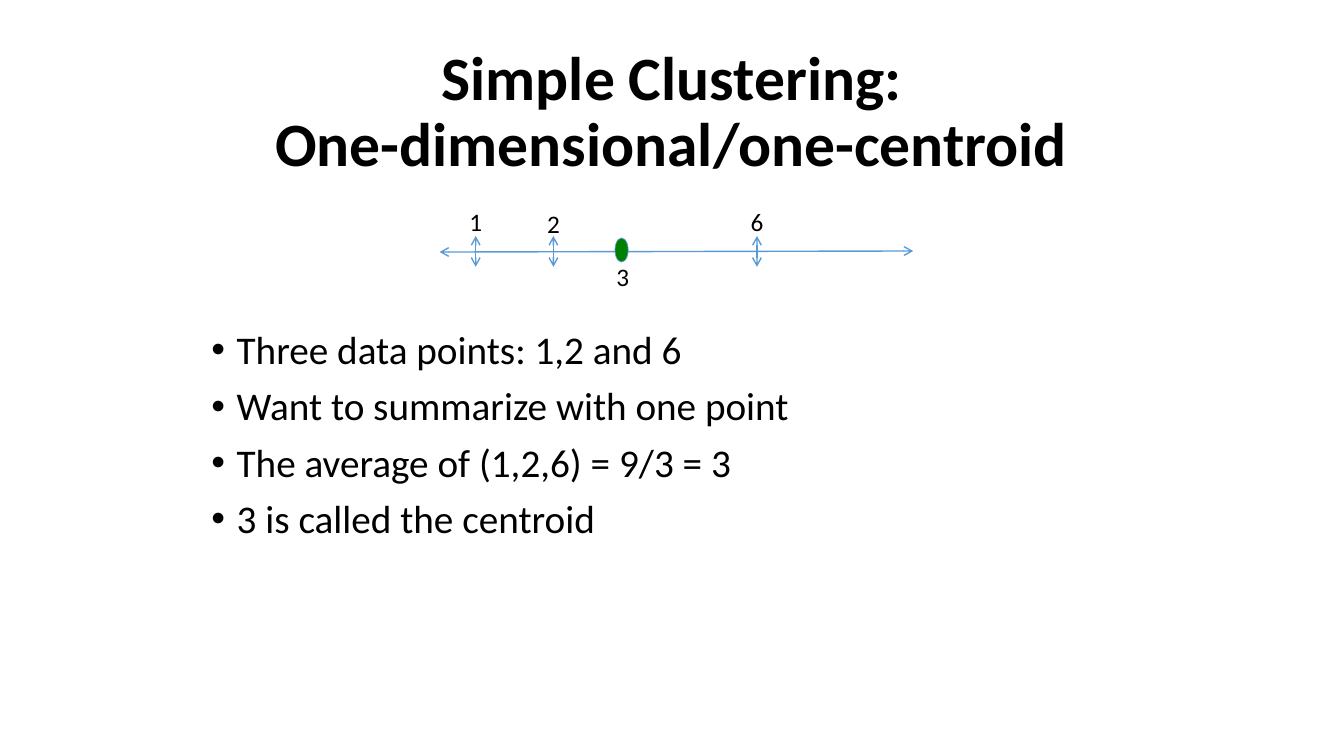
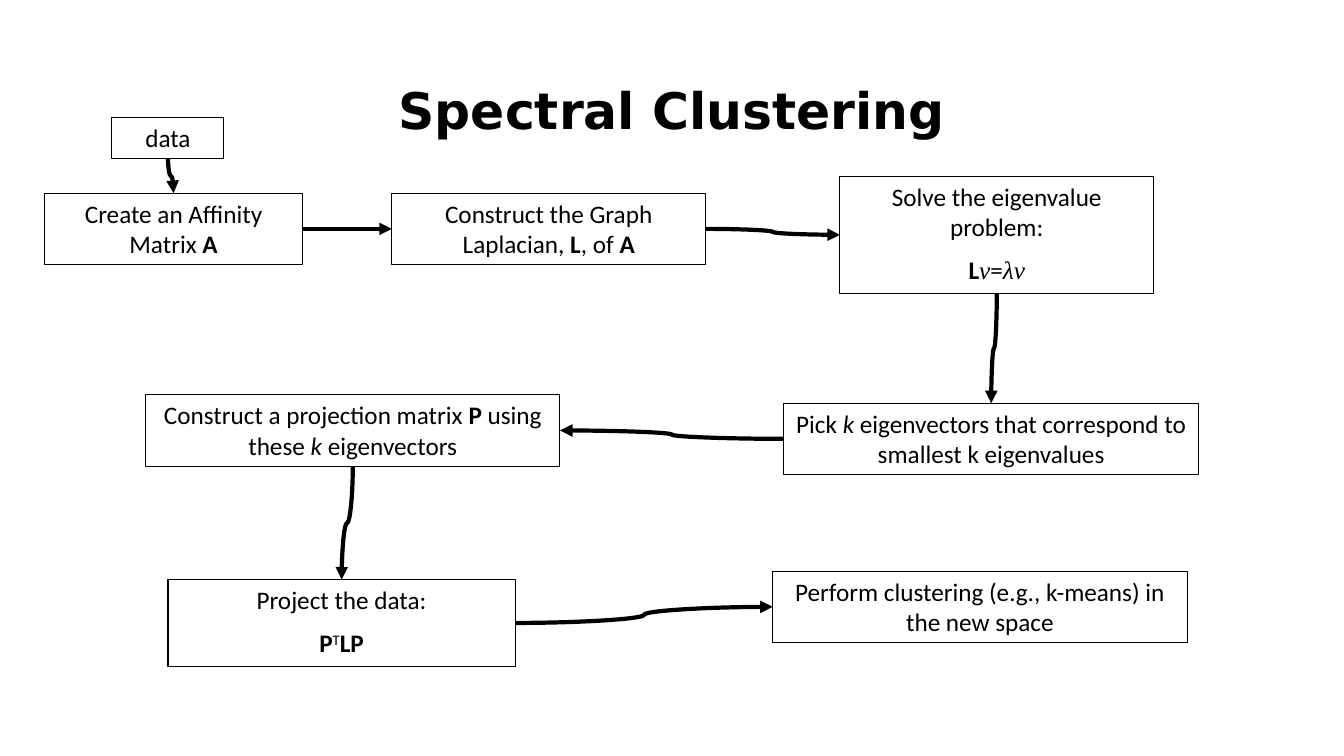
from dataclasses import dataclass

from pptx import Presentation
from pptx.dml.color import RGBColor
from pptx.enum.shapes import MSO_CONNECTOR, MSO_SHAPE
from pptx.enum.text import MSO_ANCHOR, PP_ALIGN
from pptx.oxml.ns import qn
from pptx.util import Pt
from lxml import etree

STRAIGHT, CURVE = MSO_CONNECTOR.STRAIGHT, MSO_CONNECTOR.CURVE
RECTANGLE, OVAL = MSO_SHAPE.RECTANGLE, MSO_SHAPE.OVAL
LEFT, CENTER = PP_ALIGN.LEFT, PP_ALIGN.CENTER
MIDDLE = MSO_ANCHOR.MIDDLE
TOP_SITE, LEFT_SITE, BOTTOM_SITE, RIGHT_SITE = range(4)


@dataclass(frozen=True)
class Theme:
    black: RGBColor = RGBColor(0x00, 0x00, 0x00)
    blue: RGBColor = RGBColor(0x5B, 0x9B, 0xD5)
    green: RGBColor = RGBColor(0x00, 0x80, 0x00)
    font: str = "Calibri"
    heading_font: str = "DejaVu Sans"
    math_font: str = "Times New Roman"
    title_size: int = 44
    heading_size: int = 36
    body_size: int = 28
    label_size: int = 18


THEME = Theme()

# Content: number line
LINE_TITLE = "Simple Clustering:\vOne-dimensional/one-centroid"
BULLETS = [
    "Three data points: 1,2 and 6",
    "Want to summarize with one point",
    "The average of (1,2,6) = 9/3 = 3",
    "3 is called the centroid",
]
AXIS = (314, 180, 652.3, 179.3)
DATA_POINTS = [("1", 339.8, 144), ("2", 395.3, 145.4), ("6", 540.7, 144)]  # label, x, label top
CENTROID = ("3", 444, 183)

# Content: flow chart, each paragraph a list of (text, style) runs
FLOW_TITLE = "Spectral Clustering"
STEPS = {
    "data": ((80, 84, 80, 29.5), [[("data", "")]]),
    "affinity": ((32, 138, 184, 51), [[("Create an Affinity Matrix ", ""), ("A", "bold")]]),
    "laplacian": ((280, 138, 224, 51), [
        [("Construct the Graph Laplacian, ", ""), ("L", "bold"), (", of ", ""), ("A", "bold")]]),
    "eigenvalues": ((600, 126, 224, 83.5), [
        [("Solve the eigenvalue problem:", "")],
        [("L", "bold"), ("v", "math"), ("=", ""), ("λv", "math")]]),
    "pick": ((560, 288, 296, 51), [
        [("Pick ", ""), ("k", "italic"),
         (" eigenvectors that correspond to smallest k eigenvalues", "")]]),
    "projection": ((104, 282, 296, 51), [
        [("Construct a projection matrix ", ""), ("P", "bold"), (" using these ", ""),
         ("k", "italic"), (" eigenvectors", "")]]),
    "project": ((120, 414, 248, 62), [
        [("Project the data:", "")],
        [("P", "bold"), ("T", "superscript"), ("LP", "bold")]]),
    "cluster": ((552, 408, 296, 51), [
        [("Perform clustering (e.g., k-means) in the new space", "")]]),
}
DOWN, RIGHTWARD, LEFTWARD = (
    (BOTTOM_SITE, TOP_SITE), (RIGHT_SITE, LEFT_SITE), (LEFT_SITE, RIGHT_SITE))
FLOW = [
    ("data", "affinity", DOWN),
    ("affinity", "laplacian", RIGHTWARD),
    ("laplacian", "eigenvalues", RIGHTWARD),
    ("eigenvalues", "pick", DOWN),
    ("pick", "projection", LEFTWARD),
    ("projection", "project", DOWN),
    ("project", "cluster", RIGHTWARD),
]


# Shared helpers
def points(values):
    return [Pt(value) for value in values]


def format_run(run, size, font=THEME.font, style=""):
    run.font.name = THEME.math_font if style == "math" else font
    run.font.size = Pt(size)
    run.font.color.rgb = THEME.black
    run.font.bold = style == "bold"
    run.font.italic = style in ("italic", "math")
    if style == "superscript":
        run._r.get_or_add_rPr().set("baseline", "30000")


def add_text(slide, box, text, size, font=THEME.font, style="", align=LEFT):
    text_frame = slide.shapes.add_textbox(*points(box)).text_frame
    text_frame.word_wrap = True
    text_frame.text = text
    for paragraph in text_frame.paragraphs:
        paragraph.alignment = align
        for run in paragraph.runs:
            format_run(run, size, font, style)
    return text_frame


def add_title(slide, text, size, font):
    text_frame = add_text(slide, (66, 28.8, 828, 104.4), text, size, font, "bold", CENTER)
    text_frame.vertical_anchor = MIDDLE
    text_frame.paragraphs[0].line_spacing = 0.9


def style_connector(connector, color, width, head=None, tail=None):
    connector.line.color.rgb = color
    connector.line.width = Pt(width)
    properties = connector._element.spPr
    for tag, kind in (("a:headEnd", head), ("a:tailEnd", tail)):
        if kind:
            etree.SubElement(properties.get_or_add_ln(), qn(tag), type=kind)
    etree.SubElement(properties, qn("a:effectLst"))


# Number line slide
def add_axis_line(slide, ends):
    connector = slide.shapes.add_connector(STRAIGHT, *points(ends))
    style_connector(connector, THEME.blue, 1, "arrow", "arrow")


def add_axis_label(slide, label, x, top):
    text_frame = add_text(slide, (x - 12, top, 24, 29), label, THEME.label_size, align=CENTER)
    text_frame.margin_left = text_frame.margin_right = 0


def build_number_line(slide):
    add_title(slide, LINE_TITLE, THEME.title_size, THEME.font)
    text_frame = add_text(slide, (144, 232.5, 670, 172), "\n".join(BULLETS), THEME.body_size)
    for paragraph in text_frame.paragraphs:
        paragraph.line_spacing = 0.9
        paragraph.space_before = Pt(10)
        properties = paragraph._p.get_or_add_pPr()
        properties.set("marL", str(Pt(18)))
        properties.set("indent", str(-Pt(18)))
        etree.SubElement(properties, qn("a:buFont"), typeface="Arial")
        etree.SubElement(properties, qn("a:buChar"), char="•")

    add_axis_line(slide, AXIS)
    for label, x, top in DATA_POINTS:
        add_axis_line(slide, (x, 168.6, x, 190.6))
        add_axis_label(slide, label, x, top)

    label, x, top = CENTROID
    dot = slide.shapes.add_shape(OVAL, *points((x - 4.7, 170, 9.4, 17.2)))
    dot.shadow.inherit = False
    dot.fill.solid()
    dot.fill.fore_color.rgb = THEME.green
    dot.line.color.rgb = THEME.blue
    dot.line.width = Pt(0.5)
    add_axis_label(slide, label, x + 0.8, top)


# Flow chart slide
def add_step(slide, box, paragraphs):
    shape = slide.shapes.add_shape(RECTANGLE, *points(box))
    shape.shadow.inherit = False
    shape.fill.background()
    shape.line.color.rgb = THEME.black
    shape.line.width = Pt(0.75)
    text_frame = shape.text_frame
    text_frame.word_wrap = True
    text_frame.vertical_anchor = MSO_ANCHOR.TOP
    for index, runs in enumerate(paragraphs):
        paragraph = text_frame.add_paragraph() if index else text_frame.paragraphs[0]
        paragraph.alignment = CENTER
        paragraph.space_before = Pt(9 if index else 0)
        for text, style in runs:
            run = paragraph.add_run()
            run.text = text
            format_run(run, THEME.label_size, style=style)
    return shape


def turn_downward(connector):
    """Turn a curve a quarter so that it leaves and arrives vertically."""
    across = connector.end_x - connector.begin_x
    down = connector.end_y - connector.begin_y
    middle_x = (connector.begin_x + connector.end_x) // 2
    middle_y = (connector.begin_y + connector.end_y) // 2
    connector.left, connector.top = middle_x - down // 2, middle_y - abs(across) // 2
    connector.width, connector.height = down, abs(across)
    transform = connector._element.spPr.xfrm
    transform.flipH = across > 0
    transform.flipV = False
    transform.rot = 270 if across > 0 else 90


def add_flow_arrow(slide, start, end, sites):
    level = sites == RIGHTWARD and (start.top, start.height) == (end.top, end.height)
    connector = slide.shapes.add_connector(STRAIGHT if level else CURVE, 0, 0, 0, 0)
    connector.begin_connect(start, sites[0])
    connector.end_connect(end, sites[1])
    if sites == DOWN:
        turn_downward(connector)
    style_connector(connector, THEME.black, 3, tail="triangle")


def build_flow_chart(slide):
    add_title(slide, FLOW_TITLE, THEME.heading_size, THEME.heading_font)
    steps = {name: add_step(slide, *step) for name, step in STEPS.items()}
    for start, end, sites in FLOW:
        add_flow_arrow(slide, steps[start], steps[end], sites)


def main():
    presentation = Presentation()
    presentation.slide_width, presentation.slide_height = Pt(960), Pt(540)
    blank = presentation.slide_layouts[6]
    for build in (build_number_line, build_flow_chart):
        build(presentation.slides.add_slide(blank))
    presentation.save("out.pptx")


if __name__ == "__main__":
    main()
